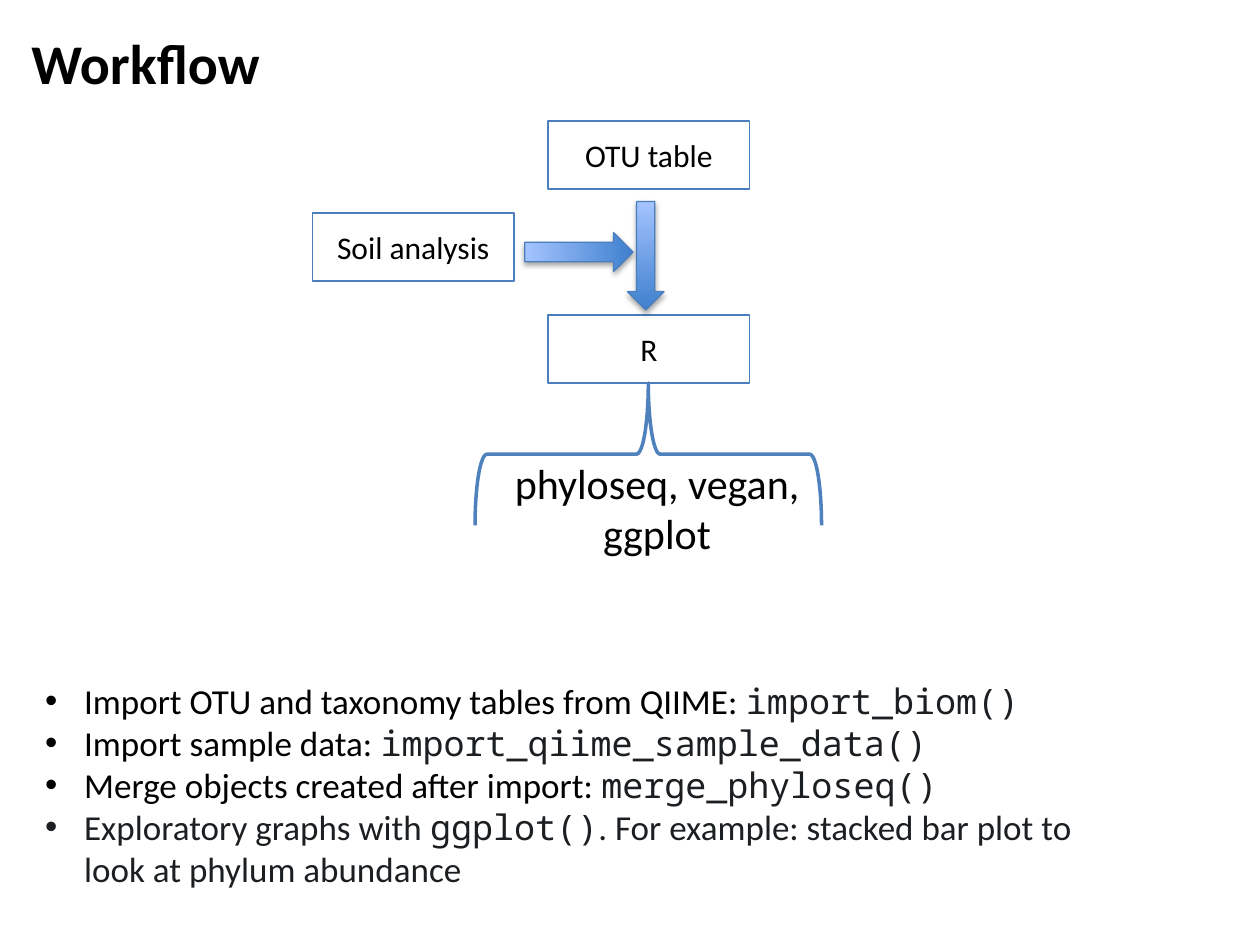
from lxml.etree import SubElement
from pptx import Presentation
from pptx.dml.color import RGBColor
from pptx.enum.shapes import MSO_SHAPE
from pptx.enum.text import MSO_ANCHOR, MSO_AUTO_SIZE, PP_ALIGN
from pptx.oxml.ns import qn
from pptx.util import Inches, Pt

BODY, CODE = "Calibri", "Noto Sans Mono"
BLACK, INK, OUTLINE = "000000", "1B1F22", "4B7EBC"
STEP_SIZE = (1.6, 0.54)


def color(value):
    return RGBColor.from_string(value)


def set_font(font, size, value=BLACK, name=BODY, bold=False):
    font.name, font.size, font.bold = name, Pt(size), bold
    font.color.rgb = color(value)


def add_outlined(page, kind, box, line=OUTLINE, width=0.75):
    shape = page.shapes.add_shape(kind, *map(Inches, box))
    shape.shadow.inherit = False
    shape.fill.background()
    shape.line.color.rgb = color(line)
    shape.line.width = Pt(width)
    return shape


def add_step(page, left, top, text):
    shape = add_outlined(page, MSO_SHAPE.RECTANGLE, (left, top, *STEP_SIZE))
    shape.text_frame.vertical_anchor = MSO_ANCHOR.MIDDLE
    para = shape.text_frame.paragraphs[0]
    para.text = text
    para.alignment = PP_ALIGN.CENTER
    set_font(para.font, 18)


def add_arrow(page, box, rotation=0):
    arrow = add_outlined(page, MSO_SHAPE.DOWN_ARROW, box)
    arrow.rotation = rotation
    arrow.fill.gradient()
    arrow.fill.gradient_angle = 90
    for stop, value in zip(arrow.fill.gradient_stops, ("3F80CE", "A4C4FF")):
        stop.color.rgb = color(value)
    # Soft shadow straight below
    effects = arrow._element.spPr.find(qn("a:effectLst"))
    shadow = SubElement(effects, qn("a:outerShdw"), blurRad=str(Pt(3.1)),
                        dist=str(Pt(1.8)), dir="5400000", rotWithShape="0")
    tint = SubElement(shadow, qn("a:srgbClr"), val=BLACK)
    SubElement(tint, qn("a:alpha"), val="35000")


def add_text(page, box, wrap=True):
    frame = page.shapes.add_textbox(*map(Inches, box)).text_frame
    frame.word_wrap = wrap
    frame.auto_size = MSO_AUTO_SIZE.SHAPE_TO_FIT_TEXT
    return frame


def add_title(page, box):
    para = add_text(page, box, wrap=False).paragraphs[0]
    para.text = "Workflow"
    set_font(para.font, 32, bold=True)


def add_diagram(page, left, top):
    # Inputs and the program they feed
    add_step(page, left + 1.87, top + 1.54, "R")
    add_step(page, left + 1.87, top, "OTU table")
    add_step(page, left, top + 0.73, "Soil analysis")
    add_arrow(page, (left + 2.5, top + 0.64, 0.29, 0.86))
    add_arrow(page, (left + 1.96, top + 0.61, 0.31, 0.86), rotation=270)
    # Packages under the brace
    brace = add_outlined(page, MSO_SHAPE.LEFT_BRACE,
                         (left + 2.1, top + 1.27, 1.13, 2.75), "4F81BD", 2)
    brace.rotation = 90
    para = add_text(page, (left + 1.2, top + 2.62, 3.07, 0.91)).paragraphs[0]
    para.text = "phyloseq, vegan, ggplot"
    para.alignment = PP_ALIGN.CENTER
    set_font(para.font, 24)


def add_bullets(page, box):
    # Each item: colour of the plain text, then plain and code text in turn
    items = [
        (BLACK, "Import OTU and taxonomy tables from QIIME: ", "import_biom()"),
        (BLACK, "Import sample data: ", "import_qiime_sample_data()"),
        (BLACK, "Merge objects created after import: ", "merge_phyloseq()"),
        (INK, "Exploratory graphs with ", "ggplot()",
         ". For example: stacked bar plot to look at phylum abundance"),
    ]
    frame = add_text(page, box)
    for index, (plain, *parts) in enumerate(items):
        para = frame.paragraphs[0] if index == 0 else frame.add_paragraph()
        para.line_spacing = Pt(24)
        props = para._p.get_or_add_pPr()
        props.set("marL", str(Inches(0.31)))
        props.set("indent", str(Inches(-0.31)))
        SubElement(props, qn("a:buFont"), typeface="Arial")
        SubElement(props, qn("a:buChar"), char="•")
        for position, text in enumerate(parts):
            span = para.add_run()
            span.text = text
            is_code = position % 2 == 1
            set_font(span.font, 20, INK if is_code else plain,
                     CODE if is_code else BODY)


def main():
    deck = Presentation()
    deck.slide_width, deck.slide_height = Inches(10), Inches(7.5)
    page = deck.slides.add_slide(deck.slide_layouts[6])
    add_title(page, (0.15, 0.18, 2.05, 0.64))
    add_diagram(page, 2.48, 0.96)
    add_bullets(page, (0.26, 5.34, 8.73, 1.78))
    deck.save("out.pptx")


if __name__ == "__main__":
    main()
